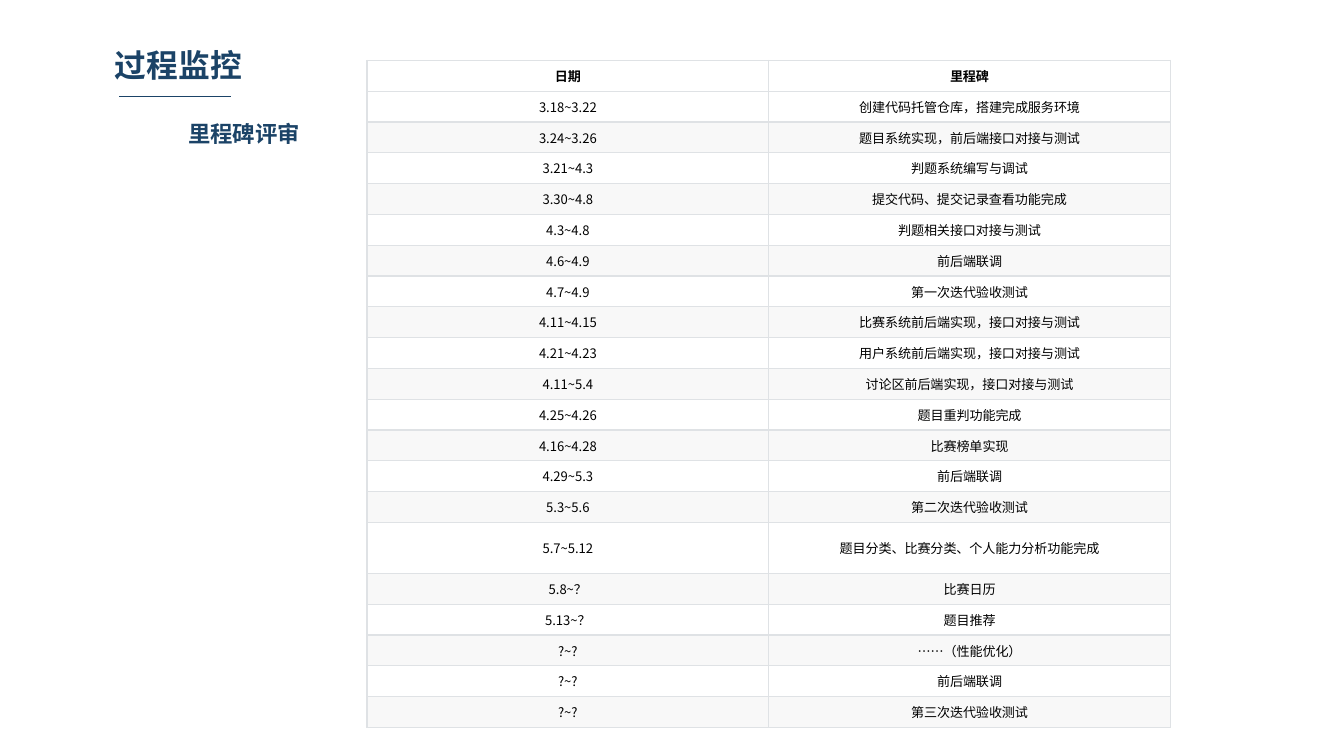
from dataclasses import dataclass
from typing import Any, NamedTuple

import lxml.etree
import pptx
import pptx.dml.color
import pptx.enum.shapes
import pptx.enum.text
import pptx.oxml
import pptx.oxml.ns
import pptx.util


@dataclass(frozen=True)
class Theme:
    font: str = "Noto Sans CJK SC"
    navy: str = "1B4367"
    ink: str = "000000"
    plain: str = "FFFFFF"
    band: str = "F8F8F8"
    grid: str = "DFE2E5"
    title_size: float = 17
    subtitle_size: float = 12
    table_size: float = 7
    line_width: float = 0.75


class Box(NamedTuple):
    left: float
    top: float
    width: float
    height: float


class Heading(NamedTuple):
    text: str
    box: Box
    size: float
    margin_left: float
    margin_top: float


class Milestone(NamedTuple):
    date: str
    goal: str
    height: float = 16.5


THEME = Theme()

HEADINGS = [
    Heading("过程监控", Box(52.6, 21.6, 281.5, 25.9), THEME.title_size, 8.9, 2.9),
    Heading("里程碑评审", Box(93.6, 60.5, 152.6, 21.6), THEME.subtitle_size, 7.2, 3.6),
]

MILESTONES = [
    Milestone("日期", "里程碑"),
    Milestone("3.18~3.22", "创建代码托管仓库，搭建完成服务环境"),
    Milestone("3.24~3.26", "题目系统实现，前后端接口对接与测试"),
    Milestone("3.21~4.3", "判题系统编写与调试"),
    Milestone("3.30~4.8", "提交代码、提交记录查看功能完成"),
    Milestone("4.3~4.8", "判题相关接口对接与测试"),
    Milestone("4.6~4.9", "前后端联调"),
    Milestone("4.7~4.9", "第一次迭代验收测试"),
    Milestone("4.11~4.15", "比赛系统前后端实现，接口对接与测试"),
    Milestone("4.21~4.23", "用户系统前后端实现，接口对接与测试"),
    Milestone("4.11~5.4", "讨论区前后端实现，接口对接与测试"),
    Milestone("4.25~4.26", "题目重判功能完成"),
    Milestone("4.16~4.28", "比赛榜单实现"),
    Milestone("4.29~5.3", "前后端联调"),
    Milestone("5.3~5.6", "第二次迭代验收测试"),
    Milestone("5.7~5.12", "题目分类、比赛分类、个人能力分析功能完成", 27.4),
    Milestone("5.8~？", "比赛日历"),
    Milestone("5.13~？", "题目推荐"),
    Milestone("?~?", "……（性能优化）"),
    Milestone("?~?", "前后端联调"),
    Milestone("?~?", "第三次迭代验收测试"),
]

TABLE_LEFT, TABLE_TOP, COLUMN_WIDTH = 196.6, 32.4, 215.2


def rgb(value: str) -> pptx.dml.color.RGBColor:
    return pptx.dml.color.RGBColor.from_string(value)


def apply(target: Any, values: dict[str, Any]) -> None:
    for key, value in values.items():
        setattr(target, key, value)


def write(frame: Any, text: str, size: float, color: str, bold: bool, align: Any) -> None:
    paragraph = frame.paragraphs[0]
    apply(paragraph, {"alignment": align, "space_before": pptx.util.Pt(0)})
    run = paragraph.add_run()
    run.text = text
    apply(run.font, {"name": THEME.font, "size": pptx.util.Pt(size), "bold": bold})
    run.font.color.rgb = rgb(color)
    east_asian = lxml.etree.SubElement(run.font._element, pptx.oxml.ns.qn("a:ea"))
    east_asian.set("typeface", THEME.font)


def draw_heading(placeholder: Any, heading: Heading) -> None:
    apply(placeholder, {key: pptx.util.Pt(value)
                        for key, value in heading.box._asdict().items()})
    frame = placeholder.text_frame
    apply(frame, {
        "word_wrap": True,
        "auto_size": pptx.enum.text.MSO_AUTO_SIZE.SHAPE_TO_FIT_TEXT,
        "vertical_anchor": pptx.enum.text.MSO_ANCHOR.TOP,
        "margin_left": pptx.util.Pt(heading.margin_left),
        "margin_top": pptx.util.Pt(heading.margin_top),
        "margin_bottom": pptx.util.Pt(heading.margin_top),
    })
    write(frame, heading.text, heading.size, THEME.navy, True,
          pptx.enum.text.PP_ALIGN.LEFT)


def draw_rule(slide: Any, left: float, right: float, y: float) -> None:
    rule = slide.shapes.add_connector(
        pptx.enum.shapes.MSO_CONNECTOR.STRAIGHT,
        *map(pptx.util.Pt, (left, y, right, y)))
    rule.line.color.rgb = rgb(THEME.navy)
    rule.line.width = pptx.util.Pt(THEME.line_width)
    lxml.etree.SubElement(rule._element.spPr, pptx.oxml.ns.qn("a:effectLst"))


def draw_borders(cell: Any) -> None:
    properties = cell._tc.get_or_add_tcPr()
    for side in ("lnL", "lnR", "lnT", "lnB"):
        properties.append(pptx.oxml.parse_xml(
            f'<a:{side} {pptx.oxml.ns.nsdecls("a")} '
            f'w="{pptx.util.Pt(THEME.line_width)}"><a:solidFill>'
            f'<a:srgbClr val="{THEME.grid}"/></a:solidFill></a:{side}>'))


def draw_cell(cell: Any, text: str, fill: str, bold: bool) -> None:
    apply(cell, {
        "vertical_anchor": pptx.enum.text.MSO_ANCHOR.MIDDLE,
        "margin_left": pptx.util.Pt(4.3),
        "margin_right": pptx.util.Pt(4.3),
        "margin_top": pptx.util.Pt(2),
        "margin_bottom": pptx.util.Pt(2),
    })
    draw_borders(cell)
    cell.fill.solid()
    cell.fill.fore_color.rgb = rgb(fill)
    write(cell.text_frame, text, THEME.table_size, THEME.ink, bold,
          pptx.enum.text.PP_ALIGN.CENTER)


def draw_milestones(slide: Any, milestones: list[Milestone]) -> None:
    height = sum(milestone.height for milestone in milestones)
    schedule = slide.shapes.add_table(
        len(milestones), 2,
        *map(pptx.util.Pt, (TABLE_LEFT, TABLE_TOP, 2 * COLUMN_WIDTH, height))).table
    apply(schedule, {"first_row": False, "horz_banding": False})
    for column in schedule.columns:
        column.width = pptx.util.Pt(COLUMN_WIDTH)
    for index, milestone in enumerate(milestones):
        schedule.rows[index].height = pptx.util.Pt(milestone.height)
        fill = THEME.band if index and index % 2 == 0 else THEME.plain
        for column, text in enumerate((milestone.date, milestone.goal)):
            draw_cell(schedule.cell(index, column), text, fill, index == 0)


def main() -> None:
    deck = pptx.Presentation()
    apply(deck, {"slide_width": pptx.util.Pt(720), "slide_height": pptx.util.Pt(405)})
    slide = deck.slides.add_slide(deck.slide_layouts[0])
    for placeholder, heading in zip(slide.placeholders, HEADINGS):
        draw_heading(placeholder, heading)
    draw_rule(slide, 64, 124, 51.8)
    draw_milestones(slide, MILESTONES)
    deck.save("out.pptx")


if __name__ == "__main__":
    main()
